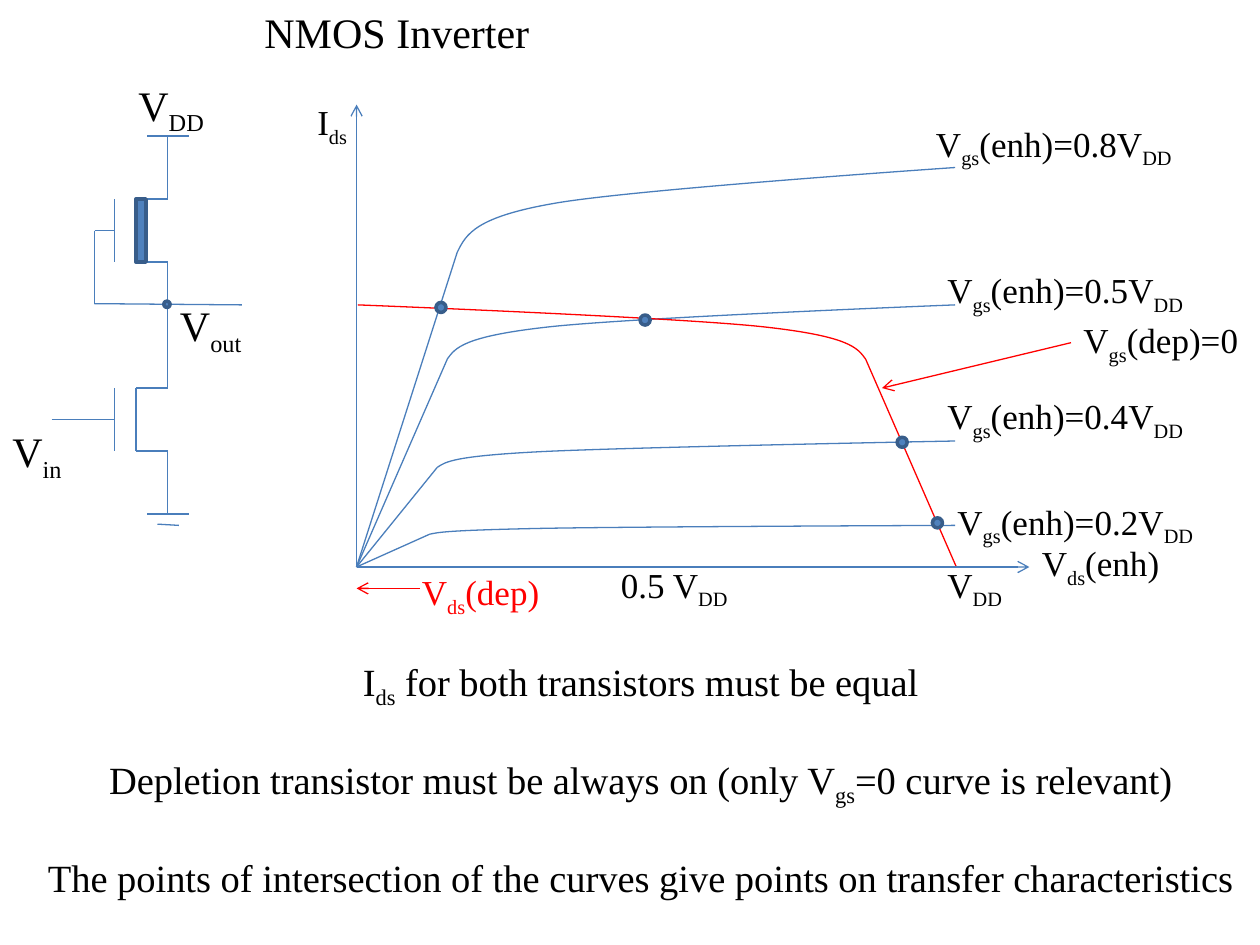
from lxml.etree import SubElement
from pptx import Presentation
from pptx.dml.color import RGBColor
from pptx.enum.shapes import MSO_CONNECTOR, MSO_SHAPE
from pptx.enum.text import PP_ALIGN
from pptx.oxml.ns import qn
from pptx.util import Inches, Pt

BLUE, RED, BLACK = "4A7EBB", "FF0000", "000000"

deck = Presentation()
deck.slide_width, deck.slide_height = Inches(10), Inches(7.5)
slide = deck.slides.add_slide(deck.slide_layouts[6])
shapes = slide.shapes
rgb = RGBColor.from_string


def add_text(text, x, y, w, h, size=20, color=BLACK, align=PP_ALIGN.LEFT, gap=0):
    """Each line is a paragraph; parts between bars are subscripts."""
    box = shapes.add_textbox(Inches(x), Inches(y), Inches(w), Inches(h))
    frame = box.text_frame
    frame.word_wrap = True
    for i, line in enumerate(text.split("\n")):
        para = frame.paragraphs[0] if i == 0 else frame.add_paragraph()
        para.alignment = align
        if i:
            para.space_before = Pt(gap)
        for j, part in enumerate(line.split("|")):
            if not part:
                continue
            run = para.add_run()
            run.text = part
            run.font.name = "Times New Roman"
            run.font.size = Pt(size)
            run.font.color.rgb = rgb(color)
            if j % 2:
                run.font._element.set("baseline", "-25000")
    return box


def add_line(x1, y1, x2, y2, color=BLUE, arrow=False):
    line = shapes.add_connector(MSO_CONNECTOR.STRAIGHT, Inches(x1), Inches(y1),
                                Inches(x2), Inches(y2))
    line.line.color.rgb = rgb(color)
    line.line.width = Pt(0.75)
    props = line._element.spPr
    if arrow:
        SubElement(props.find(qn("a:ln")), qn("a:tailEnd"), type="arrow")
    SubElement(props, qn("a:effectLst"))
    return line


# Title
add_text("NMOS Inverter", 2, 0, 4.92, 0.5, size=24)

# Both transistors: gate, drain lead, source lead and supply wire
for top in (1.58, 3.08):
    low = top + 0.5
    add_line(0.91, top, 0.91, low)
    add_line(1.08, top, 1.33, top)
    add_line(1.08, low, 1.33, low)
    add_line(1.33, top - 0.5, 1.33, top)
    add_line(1.33, low, 1.33, low + 0.5)

# Enhancement channel, gate wires, output, supply and ground
for ends in [
    (1.08, 3.08, 1.08, 3.58),
    (0.41, 3.33, 0.91, 3.33),
    (0.75, 1.83, 0.91, 1.83),
    (0.75, 1.83, 0.75, 2.41),
    (0.75, 2.41, 1.92, 2.42),
    (1.17, 1.08, 1.5, 1.08),
    (1.17, 4.08, 1.5, 4.08),
    (1.25, 4.16, 1.42, 4.17),
]:
    add_line(*ends)

# Circuit labels
for text, x, y in [("V|DD|", 1, 0.58), ("V|in|", 0, 3.33), ("V|out|", 1.33, 2.33)]:
    add_text(text, x, y, 1.08, 0.56, size=24)

# Curves: origin, knee, two bend points, end
half = [(2.83, 4.5), (3.55, 2.85), (3.68, 2.67), (5.03, 2.52), (7.58, 2.42)]
curves = [
    ([(2.83, 4.5), (3.63, 2), (3.77, 1.72), (5.08, 1.5), (7.58, 1.33)], BLUE),
    ([(2.83, 4.5), (3.47, 3.71), (3.6, 3.62), (4.98, 3.55), (7.58, 3.5)], BLUE),
    (half, BLUE),
    ([(2.83, 4.5), (3.41, 4.24), (3.55, 4.21), (4.94, 4.18), (7.58, 4.17)], BLUE),
    ([(10.42 - x, y) for x, y in half], RED),
]
for (start, knee, bend, rise, end), color in curves:
    near = [(a + b) / 2 for a, b in zip(knee, bend)]
    mid = [(a + b) / 2 for a, b in zip(bend, rise)]
    for points in [(knee, near, bend, mid, rise, end, end), (start, knee)]:
        first, *rest = [(Inches(x), Inches(y)) for x, y in points]
        pen = shapes.build_freeform(*first)
        pen.add_line_segments(rest, close=False)
        curve = pen.convert_to_shape()
        curve.shadow.inherit = False
        curve.fill.background()
        curve.line.color.rgb = rgb(color)
        curve.line.width = Pt(0.75)
        # Every three points past the knee make one Bezier arc
        route = next(curve._element.iter(qn("a:path")))
        legs = route.findall(qn("a:lnTo"))
        for i in range(0, len(legs) - 2, 3):
            arc = SubElement(route, qn("a:cubicBezTo"))
            for leg in legs[i:i + 3]:
                arc.append(leg[0])
                route.remove(leg)

# Depletion channel, output node and curve crossings
oval = MSO_SHAPE.OVAL
for kind, x, y, w, h in [
    (MSO_SHAPE.RECTANGLE, 1.08, 1.58, 0.08, 0.5),
    (oval, 1.3, 2.39, 0.05, 0.05),
    (oval, 7.4, 4.11, 0.08, 0.08),
    (oval, 7.12, 3.47, 0.08, 0.08),
    (oval, 5.08, 2.5, 0.08, 0.08),
    (oval, 3.46, 2.4, 0.08, 0.08),
]:
    mark = shapes.add_shape(kind, Inches(x), Inches(y), Inches(w), Inches(h))
    mark.shadow.inherit = False
    mark.fill.solid()
    mark.fill.fore_color.rgb = rgb("4F81BD")
    mark.line.color.rgb = rgb("385D8A")
    mark.line.width = Pt(2)

# Curve labels
for level, x, y in [("0.8", 7.33, 0.92), ("0.5", 7.42, 2.08),
                    ("0.4", 7.42, 3.08), ("0.2", 7.5, 3.92)]:
    add_text(f"V|gs|(enh)={level}V|DD|", x, y, 2.5, 0.48)
load = add_text("V|gs|(dep)=0", 8.5, 2.48, 1.5, 0.48)
add_line(8.5, 2.72, 7, 3.08, RED, arrow=True).begin_connect(load, 1)

# Axes and their labels
add_line(2.83, 4.5, 2.83, 0.83, arrow=True)
drain = add_text("V|ds|(enh)", 8.17, 4.25, 1.33, 0.5)
add_line(2.83, 4.5, 8.17, 4.5, arrow=True).end_connect(drain, 1)
add_text("I|ds|", 2.42, 0.75, 0.5, 0.48)
add_text("V|DD|", 7.42, 4.42, 0.83, 0.48)
add_text("0.5 V|DD|", 4.83, 4.42, 1.17, 0.48)
add_text("V|ds|(dep)", 3.25, 4.48, 1.33, 0.48, color=RED)
add_line(3.33, 4.67, 2.83, 4.67, RED, arrow=True)

# Conclusions
add_text("I|ds| for both transistors must be equal\n"
         "Depletion transistor must be always on (only V|gs|=0 curve is relevant)\n"
         "The points of intersection of the curves give points on transfer characteristics",
         0.17, 5.17, 9.83, 2.04, size=22, align=PP_ALIGN.CENTER, gap=26)

deck.save("out.pptx")
